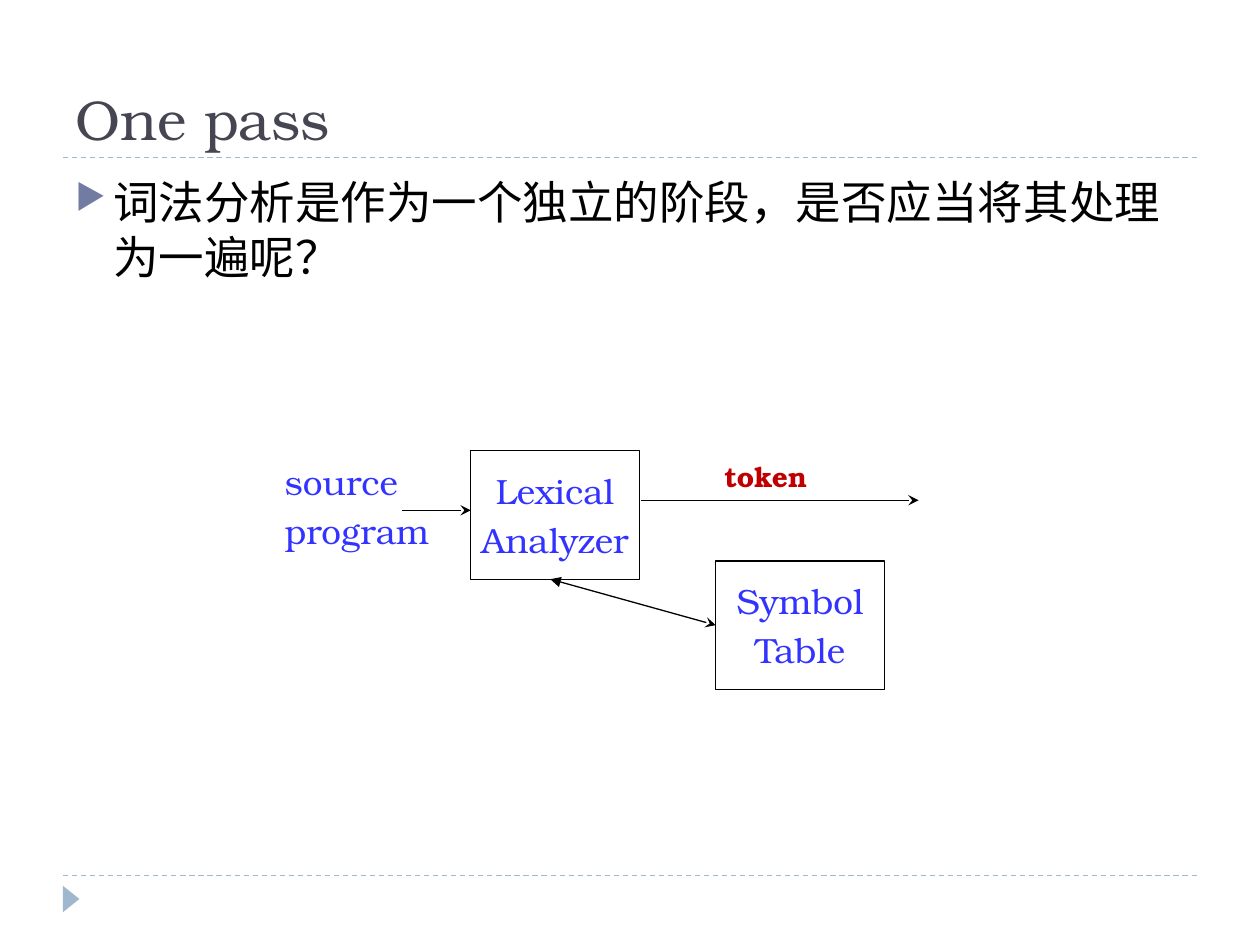
from lxml.etree import SubElement
from pptx import Presentation
from pptx.dml.color import RGBColor
from pptx.enum.dml import MSO_LINE
from pptx.enum.shapes import MSO_CONNECTOR, MSO_SHAPE
from pptx.enum.text import MSO_ANCHOR, PP_ALIGN
from pptx.oxml.ns import qn
from pptx.util import Pt

BLACK = RGBColor(0x00, 0x00, 0x00)
SLATE = RGBColor(0x46, 0x46, 0x53)
PALE_BLUE = RGBColor(0x9F, 0xB8, 0xCD)
BULLET_BLUE = RGBColor(0x72, 0x7C, 0xA3)
LABEL_BLUE = RGBColor(0x33, 0x33, 0xFF)
TOKEN_RED = RGBColor(0xC0, 0x00, 0x00)
LATIN = "TeX Gyre Bonum"
CHINESE = "Noto Sans CJK SC"


def style(paragraph, size, color, typeface=LATIN, bold=False):
    """Set the font of a whole paragraph."""
    font = paragraph.font
    font.name, font.size, font.bold = typeface, Pt(size), bold
    font.color.rgb = color


def write_lines(frame, lines, size, color, align=PP_ALIGN.LEFT, bold=False):
    """Write one paragraph per line, a fifth of the size apart."""
    frame.word_wrap = False
    for index, line in enumerate(lines):
        paragraph = frame.paragraphs[0] if index == 0 else frame.add_paragraph()
        paragraph.text = line
        paragraph.alignment = align
        if index:
            paragraph.space_before = Pt(size * 0.2)
        style(paragraph, size, color, bold=bold)


def add_line(slide, start, end, color=BLACK, head=None, tail=None):
    """Draw a thin straight line with optional arrowheads."""
    line = slide.shapes.add_connector(
        MSO_CONNECTOR.STRAIGHT, *map(Pt, (*start, *end)))
    line.line.color.rgb = color
    line.line.width = Pt(0.75)
    properties = line.line._get_or_add_ln()
    for tag, arrow in (("a:headEnd", head), ("a:tailEnd", tail)):
        if arrow:
            SubElement(properties, qn(tag), type=arrow)
    SubElement(line._element.spPr, qn("a:effectLst"))
    return line


def add_frame(slide, left, top, width, height):
    """Draw the dashed rules around the content and the footer marker."""
    for y in (top, top + height):
        rule = add_line(slide, (left, y), (left + width, y), PALE_BLUE)
        rule.line.dash_style = MSO_LINE.DASH
    marker = slide.shapes.add_shape(
        MSO_SHAPE.ISOSCELES_TRIANGLE,
        Pt(left - 2.9), Pt(top + height + 8.6), Pt(15.1), Pt(9.4))
    marker.rotation = 90
    marker.shadow.inherit = False
    marker.fill.solid()
    marker.fill.fore_color.rgb = PALE_BLUE
    marker.line.fill.background()


def add_title(slide, left, top, width, height):
    """Place the title on the lower edge of its box."""
    frame = slide.shapes.add_textbox(*map(Pt, (left, top, width, height))).text_frame
    frame.word_wrap = True
    frame.vertical_anchor = MSO_ANCHOR.BOTTOM
    title = frame.paragraphs[0]
    title.text = "One pass"
    style(title, 32, SLATE)


def add_question(slide, left, top, width, height):
    """Place the bulleted question."""
    frame = slide.shapes.add_textbox(*map(Pt, (left, top, width, height))).text_frame
    frame.word_wrap = True
    question = frame.paragraphs[0]
    question.text = "词法分析是作为一个独立的阶段，是否应当将其处理为一遍呢？"
    properties = question._p.get_or_add_pPr()
    properties.set("marL", str(Pt(21.6)))
    properties.set("indent", str(-Pt(21.6)))
    bullet_color = SubElement(properties, qn("a:buClr"))
    SubElement(bullet_color, qn("a:srgbClr"), val=str(BULLET_BLUE))
    SubElement(properties, qn("a:buSzPct"), val="76000")
    SubElement(properties, qn("a:buChar"), char="▶")
    style(question, 26, BLACK, CHINESE)
    SubElement(properties.find(qn("a:defRPr")), qn("a:ea"), typeface=CHINESE)


def add_stage(slide, left, top, width, height, lines):
    """Draw an outlined box with centred lines."""
    stage = slide.shapes.add_shape(
        MSO_SHAPE.RECTANGLE, *map(Pt, (left, top, width, height)))
    stage.shadow.inherit = False
    stage.fill.background()
    stage.line.color.rgb = BLACK
    stage.line.width = Pt(0.75)
    stage.text_frame.vertical_anchor = MSO_ANCHOR.MIDDLE
    write_lines(stage.text_frame, lines, 20, LABEL_BLUE, PP_ALIGN.CENTER)


def add_label(slide, left, top, width, height, lines, size, color, bold=False):
    """Place a free label."""
    label = slide.shapes.add_textbox(*map(Pt, (left, top, width, height)))
    write_lines(label.text_frame, lines, size, color, bold=bold)


def add_analyzer_diagram(slide, left, top, width, height):
    """Draw the lexical analyzer with its input, output and symbol table."""
    stage_width, stage_height = 96.5, 73.5
    analyzer_left = left + 113.5
    table_left = left + 253.5
    table_top = top + height - stage_height
    add_stage(slide, analyzer_left, top, stage_width, stage_height,
              ("Lexical", "Analyzer"))
    add_stage(slide, table_left, table_top, stage_width, stage_height,
              ("Symbol", "Table"))
    add_label(slide, left, top + 2.2, 98, 60.5, ("source", "program"), 20, LABEL_BLUE)
    add_label(slide, left + 251.3, top + 1.5, 62.6, 26.6, ("token",), 16,
              TOKEN_RED, bold=True)
    token_y, source_y = top + 28.4, top + 34.1
    add_line(slide, (analyzer_left + stage_width + 0.7, token_y),
             (left + width, token_y), tail="stealth")
    add_line(slide, (left + 74.2, source_y), (analyzer_left, source_y),
             tail="stealth")
    add_line(slide, (left + 159, top + stage_height),
             (table_left, table_top + stage_height / 2),
             head="triangle", tail="stealth")


def main():
    """Build and save the slide."""
    presentation = Presentation()
    presentation.slide_width, presentation.slide_height = Pt(720), Pt(540)
    slide = presentation.slides.add_slide(presentation.slide_layouts[6])
    add_frame(slide, 36, 90, 648, 410.4)
    add_question(slide, 36, 96, 648, 389)
    add_title(slide, 36, 12.2, 648, 77.8)
    add_analyzer_diagram(slide, 155.5, 257.5, 369.4, 136.5)
    presentation.save("out.pptx")


if __name__ == "__main__":
    main()
